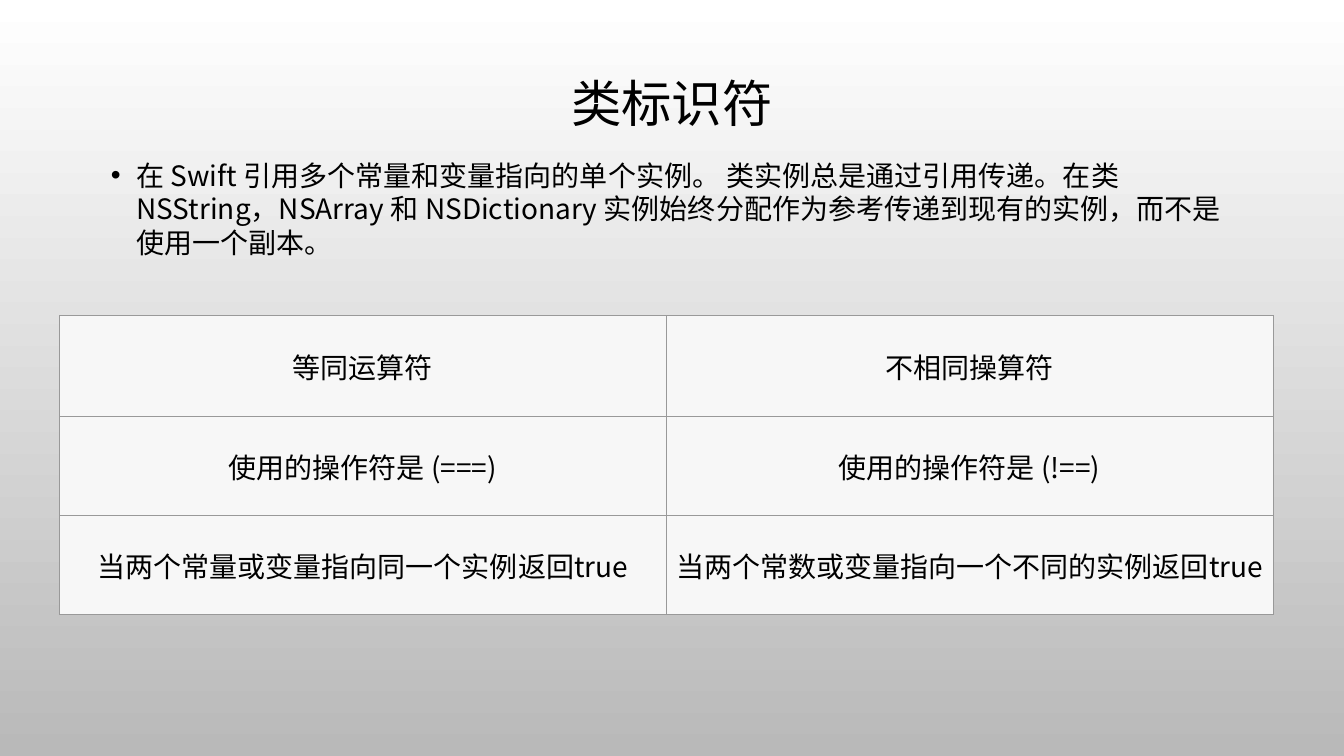
from dataclasses import dataclass

from lxml.etree import SubElement
from pptx import Presentation
from pptx.dml.color import RGBColor
from pptx.enum.text import MSO_ANCHOR, MSO_AUTO_SIZE, PP_ALIGN
from pptx.oxml.ns import qn
from pptx.util import Cm, Pt


@dataclass(frozen=True)
class Theme:
    font: str = "Noto Sans CJK JP"
    text: str = "000000"
    bg_top: str = "FFFFFF"
    bg_bottom: str = "B9B9B9"
    cell: str = "F7F7F7"
    border: str = "999999"
    border_width: float = 0.5
    title_size: int = 36
    body_size: int = 20


THEME = Theme()

TITLE = "类标识符"
BODY = (
    "在 Swift 引用多个常量和变量指向的单个实例。 类实例总是通过引用传递。"
    "在类NSString，NSArray 和 NSDictionary 实例始终分配作为参考传递到现有的实例，"
    "而不是使用一个副本。"
)
OPERATORS = [
    ("等同运算符", "不相同操算符"),
    ("使用的操作符是 (===)", "使用的操作符是 (!==)"),
    ("当两个常量或变量指向同一个实例返回true", "当两个常数或变量指向一个不同的实例返回true"),
]


def rgb(value):
    return RGBColor.from_string(value)


def place(sp, left, top, width, height):
    sp.left, sp.top, sp.width, sp.height = Cm(left), Cm(top), Cm(width), Cm(height)


def add_run(p, text, size):
    r = p.add_run()
    r.text = text
    r.font.size = Pt(size)
    r.font.name = THEME.font
    r.font.color.rgb = rgb(THEME.text)
    SubElement(r.font._element, qn("a:ea")).set("typeface", THEME.font)


def set_background(s):
    fill = s.background.fill
    fill.gradient()
    fill.gradient_angle = 270
    for stop, color, position in zip(
        fill.gradient_stops, (THEME.bg_top, THEME.bg_bottom), (0, 1)
    ):
        stop.color.rgb = rgb(color)
        stop.position = position


def fill_title(sp):
    place(sp, 2.54, 1.73, 28.78, 1.88)
    tf = sp.text_frame
    tf.auto_size = MSO_AUTO_SIZE.NONE
    tf.vertical_anchor = MSO_ANCHOR.MIDDLE
    p = tf.paragraphs[0]
    p.alignment = PP_ALIGN.CENTER
    p.line_spacing = 0.9
    add_run(p, TITLE, THEME.title_size)


def set_bullet(p, indent):
    pPr = p._p.get_or_add_pPr()
    pPr.set("marL", str(indent))
    pPr.set("indent", str(-indent))
    color = SubElement(pPr, qn("a:buClr"))
    SubElement(color, qn("a:srgbClr")).set("val", THEME.text)
    SubElement(pPr, qn("a:buFont")).set("typeface", "Arial")
    SubElement(pPr, qn("a:buChar")).set("char", "•")


def fill_body(sp):
    place(sp, 2.54, 3.86, 28.78, 12.22)
    tf = sp.text_frame
    tf.auto_size = MSO_AUTO_SIZE.NONE
    p = tf.paragraphs[0]
    p.line_spacing = 1.0
    p.space_before = Pt(0)
    set_bullet(p, Cm(0.64))
    add_run(p, BODY, THEME.body_size)


def set_borders(cell):
    tcPr = cell._tc.get_or_add_tcPr()
    for index, side in enumerate(("a:lnL", "a:lnR", "a:lnT", "a:lnB")):
        ln = tcPr.makeelement(qn(side), {"w": str(Pt(THEME.border_width))})
        fill = SubElement(ln, qn("a:solidFill"))
        SubElement(fill, qn("a:srgbClr")).set("val", THEME.border)
        tcPr.insert(index, ln)


def fill_cell(cell, text):
    cell.fill.solid()
    cell.fill.fore_color.rgb = rgb(THEME.cell)
    cell.vertical_anchor = MSO_ANCHOR.MIDDLE
    cell.margin_left = cell.margin_right = Cm(0.18)
    cell.margin_top = cell.margin_bottom = Cm(0.08)
    p = cell.text_frame.paragraphs[0]
    p.alignment = PP_ALIGN.CENTER
    add_run(p, text, THEME.body_size)
    set_borders(cell)


def add_operator_table(s):
    heights = (2.54, 2.5, 2.5)
    table = s.shapes.add_table(
        len(OPERATORS), 2, Cm(1.5), Cm(7.95), Cm(30.58), Cm(sum(heights))
    ).table
    for row, height, texts in zip(table.rows, heights, OPERATORS):
        row.height = Cm(height)
        for cell, text in zip(row.cells, texts):
            fill_cell(cell, text)


def main():
    prs = Presentation()
    prs.slide_width, prs.slide_height = Cm(33.87), Cm(19.05)
    s = prs.slides.add_slide(prs.slide_layouts[1])
    set_background(s)
    fill_title(s.shapes.title)
    fill_body(s.placeholders[1])
    add_operator_table(s)
    prs.save("out.pptx")


if __name__ == "__main__":
    main()
